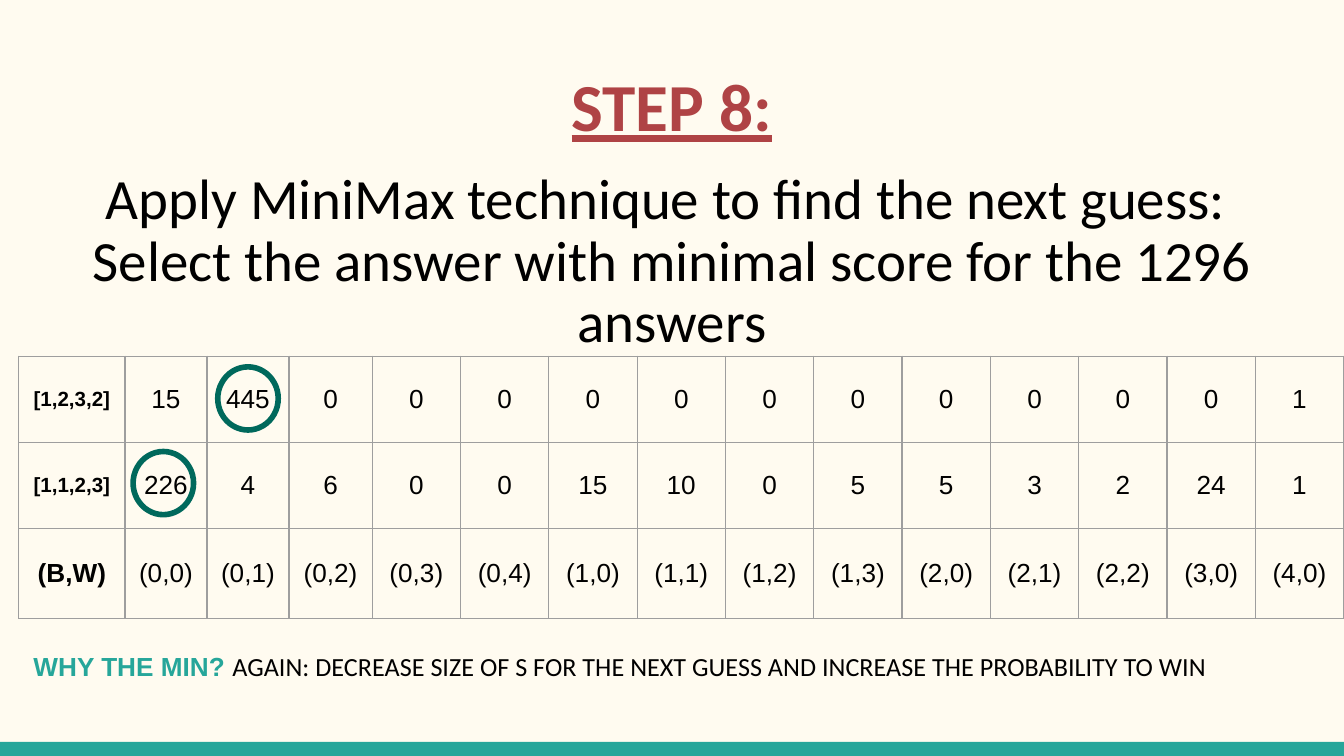
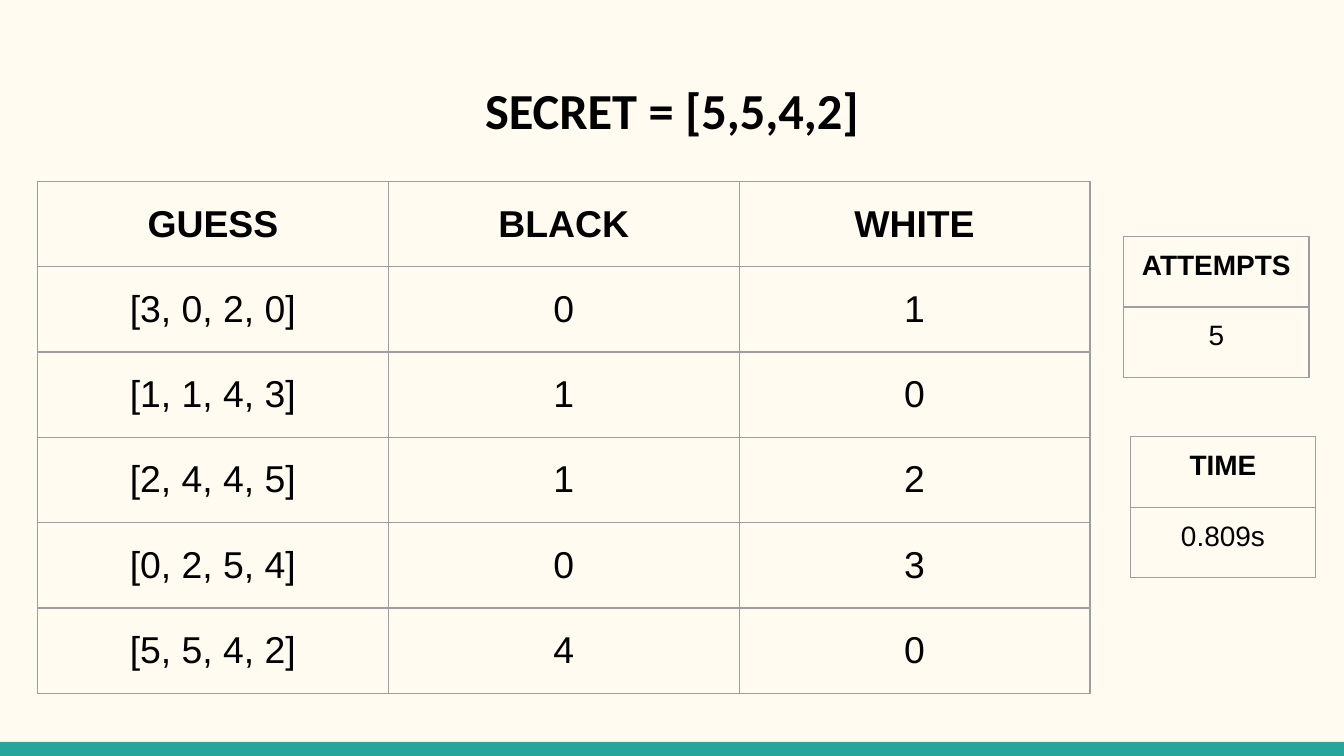
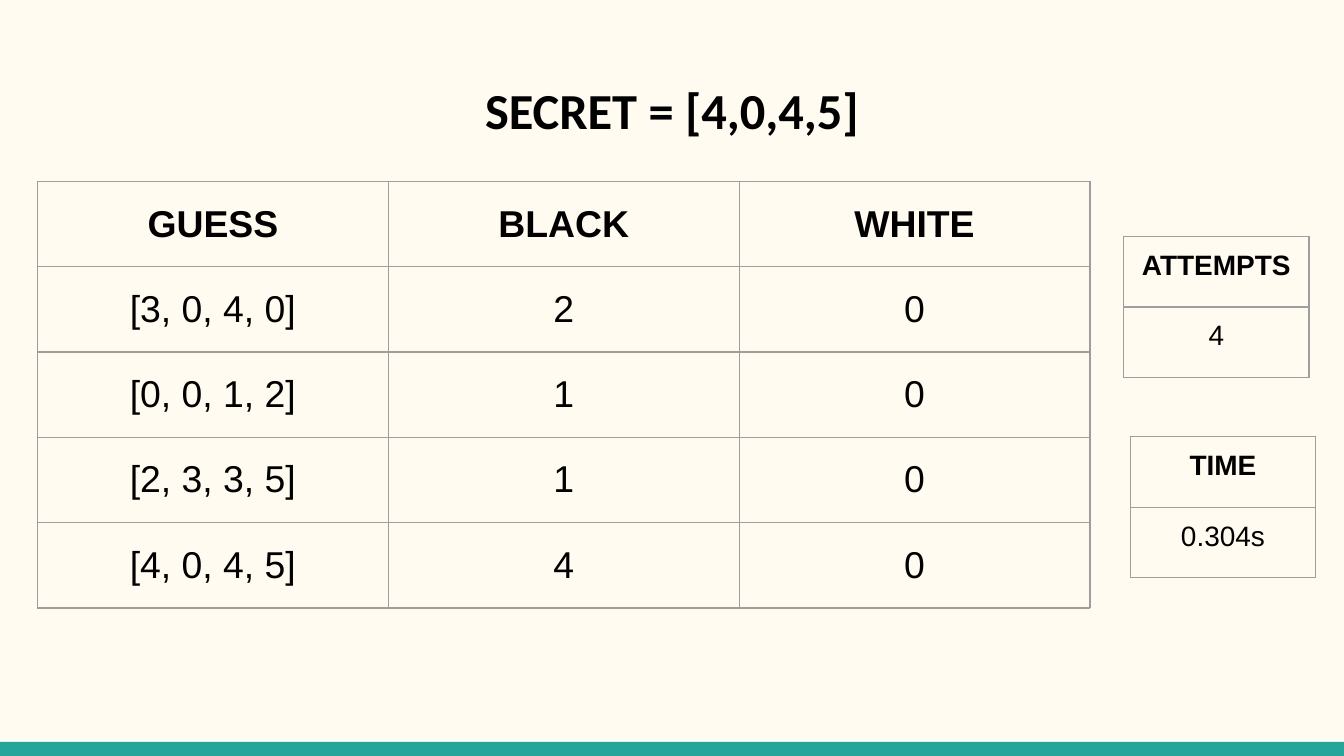
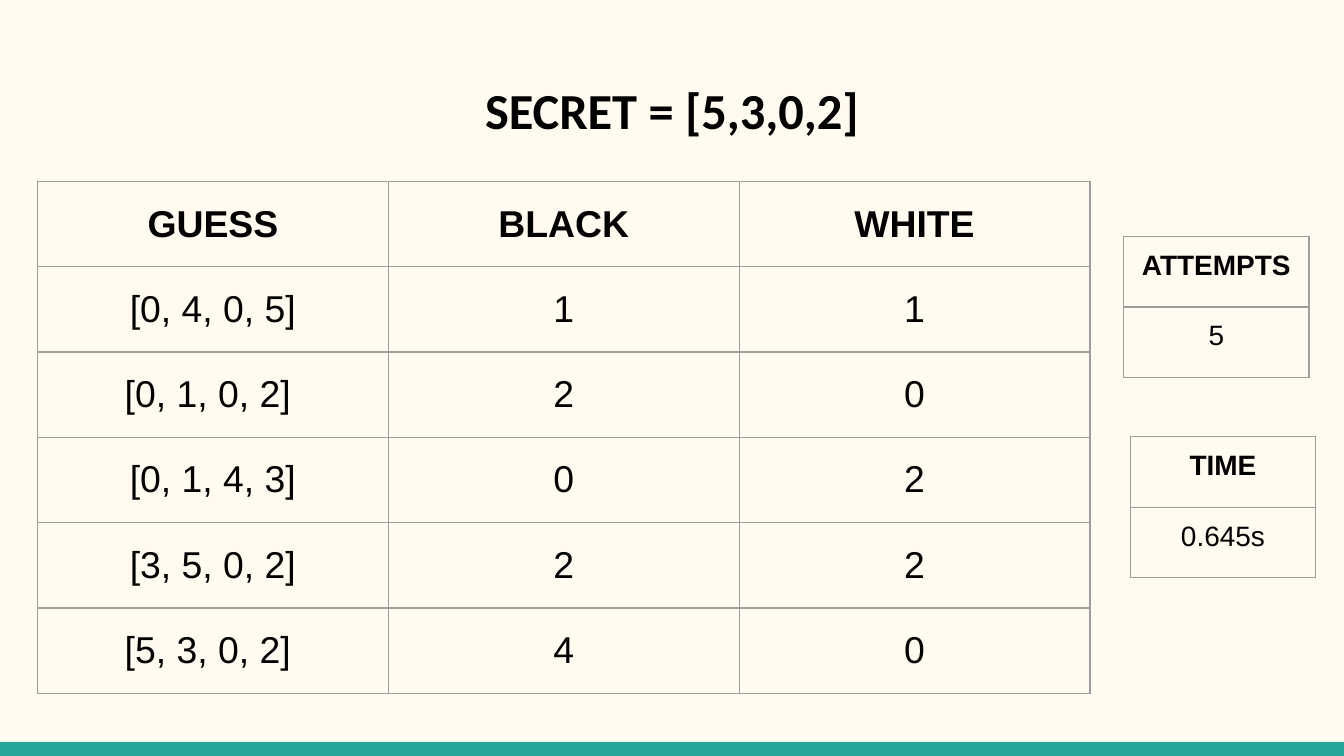
from lxml.etree import SubElement
from pptx import Presentation
from pptx.dml.color import RGBColor
from pptx.enum.shapes import MSO_SHAPE as SHAPE
from pptx.enum.text import MSO_ANCHOR as ANCHOR, MSO_AUTO_SIZE as AUTO, PP_ALIGN as ALIGN
from pptx.oxml.ns import qn
from pptx.util import Inches, Pt

COLORS = {
    "page": "FFFBF0",
    "band": "26A69A",
    "ring": "00695C",
    "step": "AF4345",
    "text": "000000",
    "grid": "9E9E9E",
}
BAND_ID = 20
TITLE_ONLY = 5
SLIDE_WIDTH = 10
GUESS_ROW = 3.81 / 6


def rgb(name):
    return RGBColor.from_string(COLORS[name])


def lengths(values):
    return [Inches(v) for v in values]


class Deck:
    def __init__(self):
        self.prs = Presentation()
        self.prs.slide_width = Inches(SLIDE_WIDTH)
        self.prs.slide_height = Inches(SLIDE_WIDTH * 9 / 16)
        self.s = None
        fill = self.prs.slide_master.background.fill
        fill.solid()
        fill.fore_color.rgb = rgb("page")

    def slide(self):
        self.s = self.prs.slides.add_slide(self.prs.slide_layouts[TITLE_ONLY])
        if len(self.prs.slides) == 1:
            self.master_band()

    def shape(self, kind, box):
        sp = self.s.shapes.add_shape(kind, *lengths(box))
        sp.shadow.inherit = False
        return sp

    def master_band(self):
        sp = self.shape(SHAPE.RECTANGLE, (0, 5.52, SLIDE_WIDTH, 0.11))
        sp.fill.solid()
        sp.fill.fore_color.rgb = rgb("band")
        sp.line.fill.background()
        sp.element.nvSpPr.cNvPr.set("id", str(BAND_ID))
        self.prs.slide_master.shapes.element.append(sp.element)

    def ring(self, left, top):
        sp = self.shape(SHAPE.OVAL, (left, top, 0.45, 0.47))
        sp.fill.background()
        sp.line.color.rgb = rgb("ring")
        sp.line.width = Pt(3)

    def run(self, p, text, color="text", **fmt):
        r = p.add_run()
        r.text = text
        r.font.color.rgb = rgb(color)
        for key, value in fmt.items():
            setattr(r.font, key, value)

    def frame(self, tf, auto_size=AUTO.NONE):
        fmt = {"word_wrap": True, "auto_size": auto_size, "vertical_anchor": ANCHOR.TOP}
        fmt |= {f"margin_{side}": Inches(0.1) for side in ("left", "top", "right", "bottom")}
        for key, value in fmt.items():
            setattr(tf, key, value)

    def title(self, text, top, size, **fmt):
        sp = self.s.shapes.title
        sp.left, sp.top, sp.width, sp.height = lengths((0.34, top, 9.32, 0.67))
        self.frame(sp.text_frame)
        p = sp.text_frame.paragraphs[0]
        p.alignment = ALIGN.CENTER
        self.run(p, text, name="Calibri", size=Pt(size), bold=True, **fmt)

    def text(self, box, paragraphs, auto_size=AUTO.NONE, **layout):
        tf = self.s.shapes.add_textbox(*lengths(box)).text_frame
        self.frame(tf, auto_size)
        for i, runs in enumerate(paragraphs):
            p = tf.add_paragraph() if i else tf.paragraphs[0]
            for key, value in layout.items():
                setattr(p, key, value)
            for text, fmt in runs:
                self.run(p, text, **fmt)

    def borders(self, cell):
        tc_pr = cell._tc.get_or_add_tcPr()
        for i, side in enumerate(("lnL", "lnR", "lnT", "lnB")):
            ln = SubElement(tc_pr, qn(f"a:{side}"), w=str(Pt(0.75)))
            fill = SubElement(ln, qn("a:solidFill"))
            SubElement(fill, qn("a:srgbClr"), val=COLORS["grid"])
            tc_pr.insert(i, ln)

    def table(self, box, rows, style, widths=None, heights=None, anchor=ANCHOR.MIDDLE):
        n_rows, n_cols = len(rows), len(rows[0])
        widths = widths or [box[2] / n_cols] * n_cols
        heights = heights or [box[3] / n_rows] * n_rows
        table = self.s.shapes.add_table(n_rows, n_cols, *lengths(box)).table
        table.first_row = table.horz_banding = False
        for col, width in zip(table.columns, widths):
            col.width = Inches(width)
        for row, height in zip(table.rows, heights):
            row.height = Inches(height)
        for i, values in enumerate(rows):
            for j, value in enumerate(values):
                cell = table.cell(i, j)
                cell.fill.background()
                self.borders(cell)
                cell.vertical_anchor = anchor
                cell.margin_left = cell.margin_right = Inches(0.1)
                cell.margin_top = cell.margin_bottom = Inches(0.1)
                p = cell.text_frame.paragraphs[0]
                p.alignment = ALIGN.CENTER
                size, bold = style(i, j)
                self.run(p, str(value), name="Arial", size=Pt(size), bold=bold)


def step_slide(deck):
    deck.slide()
    deck.title("STEP 8:", 0.38, 36, color="step", underline=True)
    body = {"name": "Calibri", "size": Pt(30.5)}
    deck.text(
        (0.15, 1.17, 9.7, 2.26),
        [
            [("Apply MiniMax technique to find the next guess: ", body)],
            [("Select the answer with minimal score for the 1296 answers", body)],
        ],
        alignment=ALIGN.CENTER,
        line_spacing=0.9,
    )
    scores = [
        ["[1,2,3,2]", 15, 445, 0, 0, 0, 0, 0, 0, 0, 0, 0, 0, 0, 1],
        ["[1,1,2,3]", 226, 4, 6, 0, 0, 15, 10, 0, 5, 5, 3, 2, 24, 1],
        ["(B,W)", "(0,0)", "(0,1)", "(0,2)", "(0,3)", "(0,4)", "(1,0)", "(1,1)",
         "(1,2)", "(1,3)", "(2,0)", "(2,1)", "(2,2)", "(3,0)", "(4,0)"],
    ]
    width = 9.86
    first_cols = [0.79, 0.61, 0.61, 0.62]
    other_cols = len(scores[0]) - len(first_cols)
    deck.table(
        (0.14, 2.65, width, 1.94),
        scores,
        lambda i, j: (11 if j == 0 and i < 2 else 14, j == 0),
        widths=first_cols + [(width - sum(first_cols)) / other_cols] * other_cols,
        heights=[0.64, 0.64, 0.67],
    )
    deck.ring(0.99, 3.36)
    deck.ring(1.62, 2.73)
    size = Pt(14)
    reason = "AGAIN: DECREASE SIZE OF S FOR THE NEXT GUESS AND INCREASE THE PROBABILITY TO WIN"
    deck.text(
        (0.15, 4.74, 9.51, 0.67),
        [[
            ("WHY THE MIN? ", {"name": "Arial", "size": size, "color": "band", "bold": True}),
            (reason, {"name": "Calibri", "size": size}),
        ]],
        auto_size=AUTO.SHAPE_TO_FIT_TEXT,
    )


def game_slide(deck, secret, time, guesses):
    deck.slide()
    deck.title(f"SECRET = {secret}", 0.49, 27)
    rows = [("GUESS", "BLACK", "WHITE")] + guesses
    deck.table((0.28, 1.35, 7.83, GUESS_ROW * len(rows)), rows, lambda i, j: (20, i == 0))
    for left, top, label, value in (
        (8.36, 1.76, "ATTEMPTS", len(guesses)),
        (8.41, 3.25, "TIME", time),
    ):
        deck.table(
            (left, top, 1.38, 1.05),
            [[label], [value]],
            lambda i, j: (15, i == 0),
            anchor=ANCHOR.TOP,
        )


GAMES = [
    ("[5,5,4,2]", "0.809s", [
        ("[3, 0, 2, 0]", 0, 1),
        ("[1, 1, 4, 3]", 1, 0),
        ("[2, 4, 4, 5]", 1, 2),
        ("[0, 2, 5, 4]", 0, 3),
        ("[5, 5, 4, 2]", 4, 0),
    ]),
    ("[4,0,4,5]", "0.304s", [
        ("[3, 0, 4, 0]", 2, 0),
        ("[0, 0, 1, 2]", 1, 0),
        ("[2, 3, 3, 5]", 1, 0),
        ("[4, 0, 4, 5]", 4, 0),
    ]),
    ("[5,3,0,2]", "0.645s", [
        ("[0, 4, 0, 5]", 1, 1),
        ("[0, 1, 0, 2] ", 2, 0),
        ("[0, 1, 4, 3]", 0, 2),
        ("[3, 5, 0, 2]", 2, 2),
        ("[5, 3, 0, 2] ", 4, 0),
    ]),
]


def main():
    deck = Deck()
    step_slide(deck)
    for game in GAMES:
        game_slide(deck, *game)
    deck.prs.save("out.pptx")


if __name__ == "__main__":
    main()
